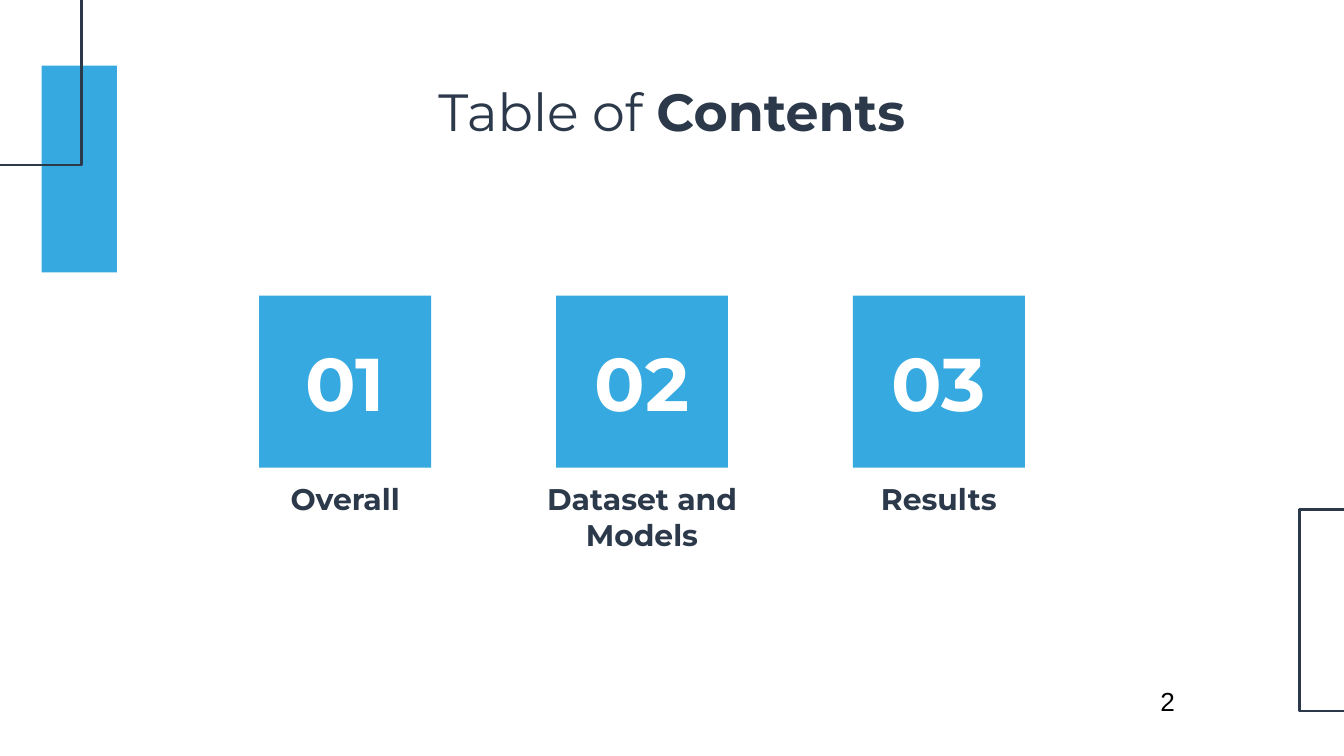
from dataclasses import dataclass

from pptx import Presentation
from pptx.dml.color import RGBColor
from pptx.enum.shapes import MSO_SHAPE
from pptx.enum.text import MSO_ANCHOR, MSO_AUTO_SIZE, PP_ALIGN
from pptx.util import Cm, Pt

BLUE, NAVY, WHITE, BLACK = "35A9E0", "2B394A", "FFFFFF", "000000"
WIDE, HIGH = 25.4, 14.29
LEFT, TOP, SIDE, PITCH = 4.9, 5.59, 3.25, 5.61


@dataclass
class Topic:
    number: str
    label: str
    width: float


TOPICS = [
    Topic("01", "Overall", 4.93),
    Topic("02", "Dataset and Models", 5.61),
    Topic("03", "Results", 4.93),
]


def paint(target, color: str) -> None:
    target.rgb = RGBColor.from_string(color)


def write(shape, *parts: tuple[str, bool], size: float, color: str = NAVY,
          font: str = "Montserrat", align=PP_ALIGN.CENTER,
          anchor=MSO_ANCHOR.TOP, inset: tuple[float, float] = (0.25, 0.25)) -> None:
    frame = shape.text_frame
    frame.word_wrap = True
    frame.auto_size = MSO_AUTO_SIZE.NONE
    frame.vertical_anchor = anchor
    frame.margin_left, frame.margin_top = Cm(inset[0]), Cm(inset[1])
    frame.margin_right, frame.margin_bottom = Cm(0.25), Cm(inset[1])
    para = frame.paragraphs[0]
    para.alignment = align
    for text, bold in parts:
        run = para.add_run()
        run.text = text
        run.font.name, run.font.size, run.font.bold = font, Pt(size), bold
        paint(run.font.color, color)


def add_box(slide, left: float, top: float, width: float, height: float):
    return slide.shapes.add_textbox(Cm(left), Cm(top), Cm(width), Cm(height))


def add_block(slide, left: float, top: float, width: float, height: float):
    block = slide.shapes.add_shape(
        MSO_SHAPE.RECTANGLE, Cm(left), Cm(top), Cm(width), Cm(height))
    block.shadow.inherit = False
    block.fill.solid()
    paint(block.fill.fore_color, BLUE)
    block.line.fill.background()
    return block


def add_frame(slide, points: list[tuple[float, float]]) -> None:
    spots = [(Cm(x), Cm(y)) for x, y in points]
    pen = slide.shapes.build_freeform(*spots[0])
    pen.add_line_segments(spots[1:], close=False)
    frame = pen.convert_to_shape()
    frame.shadow.inherit = False
    frame.fill.background()
    frame.line.width = Cm(0.05)
    paint(frame.line.color, NAVY)


def add_topic(slide, index: int, topic: Topic) -> None:
    left = LEFT + index * PITCH
    tile = add_block(slide, left, TOP, SIDE, SIDE)
    write(tile, (topic.number, True), size=40, color=WHITE,
          anchor=MSO_ANCHOR.MIDDLE)
    label = add_box(slide, left + (SIDE - topic.width) / 2, TOP + SIDE,
                    topic.width, 1.6)
    write(label, (topic.label, True), size=16)


def main() -> None:
    deck = Presentation()
    deck.slide_width, deck.slide_height = Cm(WIDE), Cm(HIGH)
    slide = deck.slides.add_slide(deck.slide_layouts[5])

    page = add_box(slide, 21.29, 12.83, 2.74, 1.12)
    write(page, ("2", False), size=14, color=BLACK, font="Arial",
          align=PP_ALIGN.LEFT, inset=(0.64, 0.13))
    add_frame(slide, [(WIDE, 9.63), (24.56, 9.63), (24.56, 13.44), (WIDE, 13.44)])
    add_block(slide, 0.79, 1.24, 1.42, 3.91)
    add_frame(slide, [(1.54, 0), (1.54, 3.12), (0, 3.12)])

    title = slide.shapes.title
    title.left, title.top = Cm(0.86), Cm(1.24)
    title.width, title.height = Cm(23.67), Cm(1.6)
    write(title, ("Table of ", False), ("Contents", True), size=28)

    for index, topic in enumerate(TOPICS):
        add_topic(slide, index, topic)
    deck.save("out.pptx")


if __name__ == "__main__":
    main()
